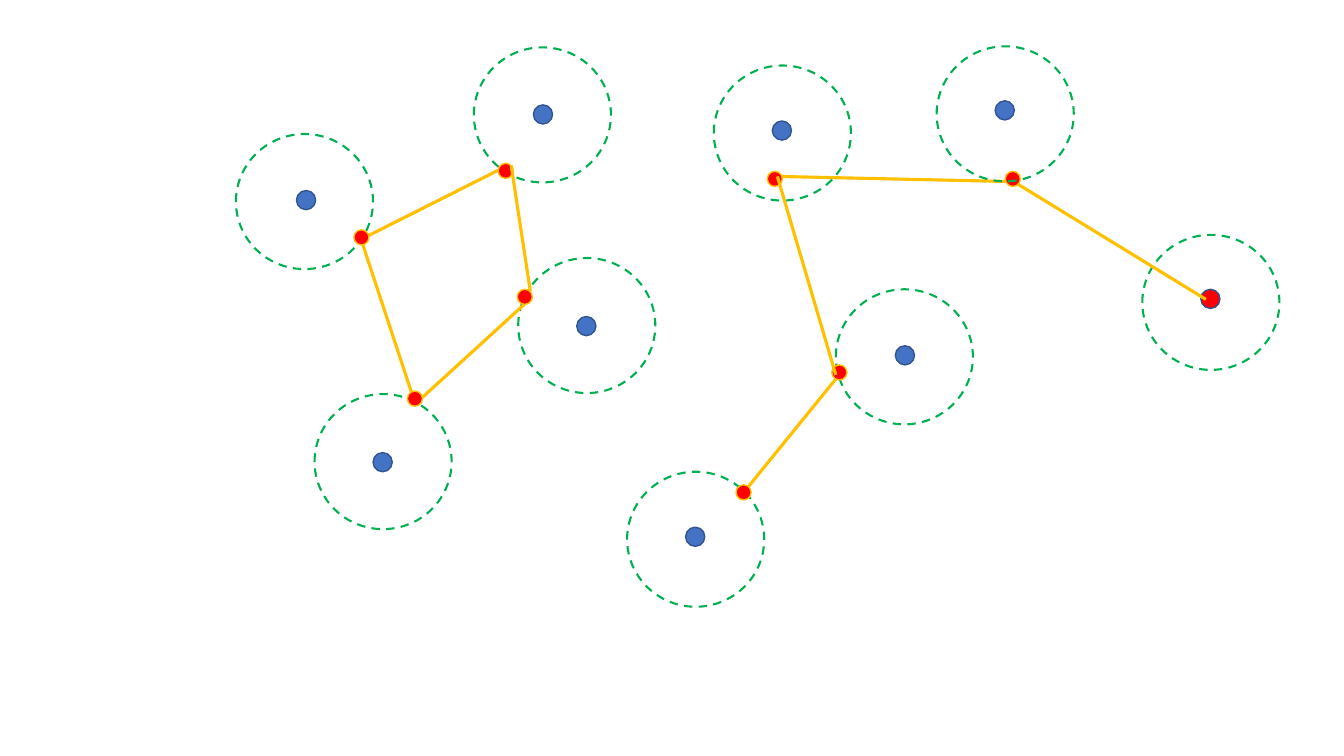
from dataclasses import dataclass
from typing import Optional, Union

from lxml.etree import SubElement
from pptx import Presentation
from pptx.dml.color import RGBColor
from pptx.enum.dml import MSO_LINE_DASH_STYLE as Dash
from pptx.enum.shapes import MSO_CONNECTOR as Connector, MSO_SHAPE as Shape
from pptx.oxml.ns import qn
from pptx.util import Inches, Pt

SLIDE_WIDTH, SLIDE_HEIGHT = Inches(13.33), Inches(7.5)
COLUMNS, ROWS = 133.3, 75


@dataclass(frozen=True)
class Theme:
    node: str = "4472C4"
    node_edge: str = "325491"
    stop: str = "FF0000"
    route: str = "FFC000"
    coverage: str = "00B050"


@dataclass(frozen=True)
class Style:
    columns: float
    rows: float
    fill: Optional[str]
    line: str
    weight: float
    dashed: bool = False


@dataclass(frozen=True)
class Oval:
    style: Style
    column: float
    row: float


@dataclass(frozen=True)
class Leg:
    start: tuple[float, float]
    end: tuple[float, float]


THEME = Theme()
NODE = Style(1.9, 1.9, THEME.node, THEME.node_edge, 1)
HOME = Style(1.9, 1.9, THEME.stop, THEME.node_edge, 1)
STOP = Style(1.5, 1.5, THEME.stop, THEME.route, 1)
RANGE = Style(13.6, 13.4, None, THEME.coverage, 1.5, dashed=True)
LEG_WEIGHT = 2.25


def ovals(style: Style, *corners: tuple[float, float]) -> list[Oval]:
    return [Oval(style, column, row) for column, row in corners]


# Layers run from back to front.
LAYERS: list[Union[Oval, Leg]] = [
    *ovals(NODE, (29.4, 18.9), (52.9, 10.4), (76.6, 12), (98.7, 10),
           (88.8, 34.3), (57.2, 31.4), (37, 44.9), (68, 52.3)),
    *ovals(RANGE, (113.3, 23.3)),
    *ovals(HOME, (119.1, 28.7)),
    Leg((119.6, 29.7), (101, 18.3)),
    Leg((99.7, 18), (77.1, 17.5)),
    *ovals(STOP, (99.7, 17)),
    *ovals(RANGE, (82.9, 28.7), (92.9, 4.6), (70.8, 6.5), (47, 4.7),
           (23.4, 13.3), (51.4, 25.6), (31.2, 39.1), (62.2, 46.8)),
    *ovals(STOP, (76.1, 17), (49.4, 16.2)),
    Leg((52, 30.2), (41.7, 39.6)),
    Leg((35.5, 23.9), (49.4, 16.9)),
    Leg((35.7, 23.4), (41, 39.5)),
    Leg((82.9, 37.6), (73.8, 48.8)),
    *ovals(STOP, (35.1, 22.8), (40.4, 38.8), (51.3, 28.7),
           (82.5, 36.2), (73, 48.1)),
    Leg((50.7, 16.4), (52.6, 28.9)),
    Leg((82.9, 37.2), (77.1, 17.5)),
]


def across(columns: float) -> int:
    return round(SLIDE_WIDTH * columns / COLUMNS)


def down(rows: float) -> int:
    return round(SLIDE_HEIGHT * rows / ROWS)


def draw_oval(page, oval: Oval) -> None:
    style = oval.style
    shape = page.shapes.add_shape(
        Shape.OVAL, across(oval.column), down(oval.row),
        across(style.columns), down(style.rows))
    shape.shadow.inherit = False
    if style.fill:
        shape.fill.solid()
        shape.fill.fore_color.rgb = RGBColor.from_string(style.fill)
    else:
        shape.fill.background()
    shape.line.color.rgb = RGBColor.from_string(style.line)
    shape.line.width = Pt(style.weight)
    if style.dashed:
        shape.line.dash_style = Dash.DASH


def draw_leg(page, leg: Leg) -> None:
    (start_column, start_row), (end_column, end_row) = leg.start, leg.end
    connector = page.shapes.add_connector(
        Connector.STRAIGHT, across(start_column), down(start_row),
        across(end_column), down(end_row))
    connector.line.color.rgb = RGBColor.from_string(THEME.route)
    connector.line.width = Pt(LEG_WEIGHT)
    SubElement(connector._element.spPr, qn("a:effectLst"))


def main() -> None:
    deck = Presentation()
    deck.slide_width, deck.slide_height = SLIDE_WIDTH, SLIDE_HEIGHT
    page = deck.slides.add_slide(deck.slide_layouts[6])
    for item in LAYERS:
        if isinstance(item, Oval):
            draw_oval(page, item)
        else:
            draw_leg(page, item)
    deck.save("out.pptx")


if __name__ == "__main__":
    main()
